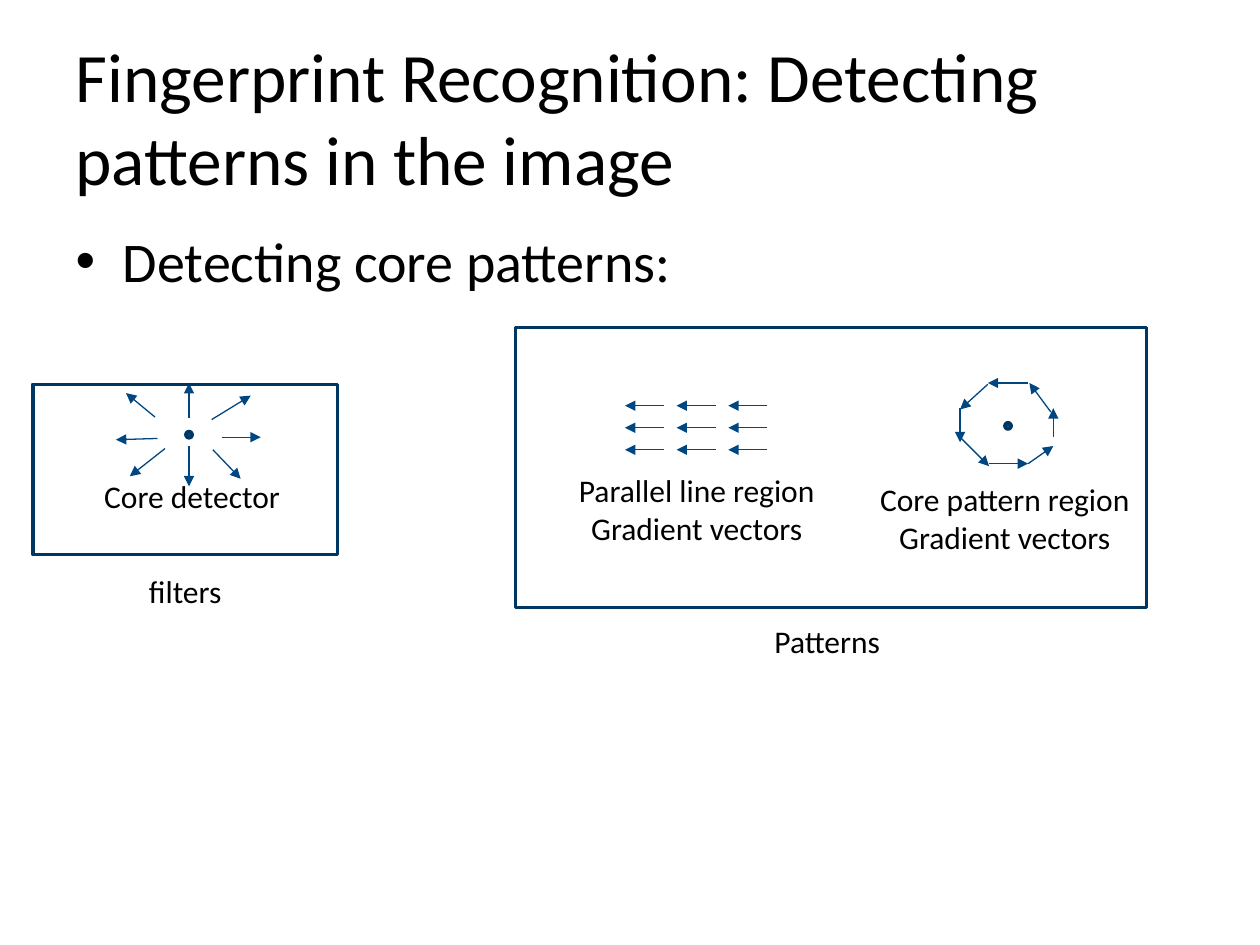
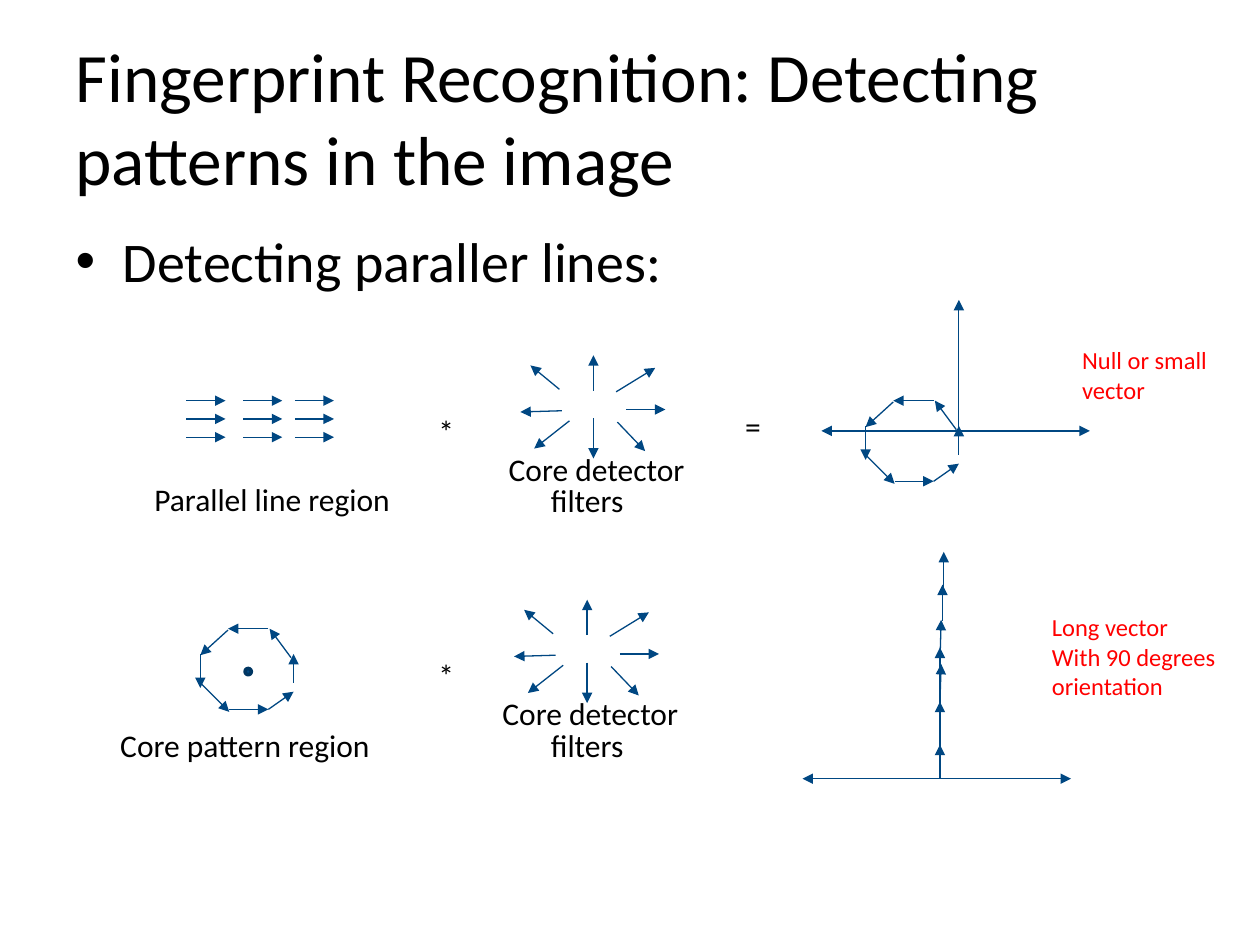
from lxml.etree import SubElement
from pptx import Presentation
from pptx.dml.color import RGBColor
from pptx.enum.shapes import MSO_CONNECTOR, MSO_SHAPE
from pptx.enum.text import MSO_ANCHOR, MSO_AUTO_SIZE, PP_ALIGN
from pptx.oxml.ns import qn
from pptx.util import Inches, Pt

COLORS = {"text": "000000", "arrow": "004782", "dot": "004985", "frame": "003662", "note": "FF0000"}
FONT = "Calibri"
TITLE = "Fingerprint Recognition: Detecting patterns in the image"
ARROW_LENGTH = 0.31

RADIAL = [
    (0.19, 0.12, 0.41, 0.35), (0, 0.09, 0, 0.41), (-0.19, 0.11, -0.47, 0.33),
    (0.26, 0.02, 0.57, 0.02), (-0.25, 0.03, -0.58, 0.04), (-0.27, -0.14, -0.5, -0.33),
    (0, -0.13, 0, -0.41), (0.18, -0.12, 0.49, -0.31),
]
LOOP = [
    (0.16, -0.34, -0.16, -0.34), (-0.15, 0.3, 0.16, 0.3), (0.16, 0.3, 0.36, 0.16),
    (0.36, 0.09, 0.36, -0.14), (-0.16, -0.33, -0.38, -0.13), (0.34, -0.11, 0.17, -0.34),
    (-0.38, -0.14, -0.38, 0.13), (-0.38, 0.09, -0.15, 0.32),
]
CHAIN = [
    (0, 0, 0, -0.27), (0, -0.29, 0, -0.61), (0, -0.61, 0.01, -0.91),
    (0, -0.92, 0.01, -1.26), (0.02, -1.25, 0.02, -1.54), (0.03, -1.52, 0.03, -1.8),
]


def rgb(name):
    """Return the named colour."""
    return RGBColor.from_string(COLORS[name])


def style(font, size, color="text"):
    """Apply the shared font with a size and colour."""
    for key, value in {"name": FONT, "size": Pt(size)}.items():
        setattr(font, key, value)
    font.color.rgb = rgb(color)


def add_text(s, lines, x, y, w, size=18, color="text", align=PP_ALIGN.CENTER):
    """Add an unwrapped text box with one paragraph per line."""
    height = 0.1 + len(lines) * size * 1.22 / 72
    tf = s.shapes.add_textbox(*map(Inches, (x, y, w, height))).text_frame
    tf.word_wrap = False
    for i, line in enumerate(lines):
        p = tf.paragraphs[0] if i == 0 else tf.add_paragraph()
        p.alignment = align
        r = p.add_run()
        r.text = line
        style(r.font, size, color)


def add_arrows(s, x, y, segments, ends=("tailEnd",)):
    """Draw arrows whose ends are offsets from the point x, y."""
    for x1, y1, x2, y2 in segments:
        points = map(Inches, (x + x1, y + y1, x + x2, y + y2))
        line = s.shapes.add_connector(MSO_CONNECTOR.STRAIGHT, *points)
        line.line.color.rgb = rgb("arrow")
        line.line.width = Pt(0.75)
        sp_pr = line._element.spPr
        for end in ends:
            SubElement(sp_pr.find(qn("a:ln")), qn(f"a:{end}"), type="triangle")
        SubElement(sp_pr, qn("a:effectLst"))


def add_outlined(s, kind, x, y, w, h, fill=None):
    """Add a shape with the frame outline and an optional fill."""
    sp = s.shapes.add_shape(kind, *map(Inches, (x, y, w, h)))
    sp.shadow.inherit = False
    sp.line.color.rgb = rgb("frame")
    sp.line.width = Pt(2)
    if fill:
        sp.fill.solid()
        sp.fill.fore_color.rgb = rgb(fill)
    else:
        sp.fill.background()


def add_dot(s, x, y):
    """Mark a core centred on x, y."""
    add_outlined(s, MSO_SHAPE.OVAL, x - 0.025, y - 0.025, 0.05, 0.05, "dot")


def add_detector(s, x, y):
    """Draw the labelled radial core detector around x, y."""
    add_arrows(s, x, y, RADIAL)
    add_text(s, ["Core detector"], x - 0.82, y + 0.29, 1.69)


def add_core_pattern(s, x, y, lines):
    """Draw the labelled loop of gradient vectors around its core."""
    add_arrows(s, x, y, LOOP)
    add_dot(s, x, y)
    add_text(s, lines, x - 1.16, y + 0.38, 2.27)


def add_parallel(s, x, y, columns, row_gap, leftward=False):
    """Draw three rows of parallel arrows at the given column offsets."""
    ends = (ARROW_LENGTH, 0) if leftward else (0, ARROW_LENGTH)
    rows = [row * row_gap for row in range(3)]
    add_arrows(s, x, y, [(c + ends[0], r, c + ends[1], r) for r in rows for c in columns])


def add_axes(s, x, y):
    """Draw the result axes with their origin at x, y."""
    add_arrows(s, x, y, [(0, 0, 0, -1.04)])
    add_arrows(s, x, y, [(-1.09, 0, 1.04, 0)], ("headEnd", "tailEnd"))


def add_slide(prs, bullet):
    """Add a slide with the shared title and one bullet."""
    s = prs.slides.add_slide(prs.slide_layouts[1])
    title, body = s.shapes.title, s.placeholders[1]
    parts = [(title, TITLE, 0.3, 1.25, 39.6, MSO_ANCHOR.MIDDLE),
             (body, bullet, 1.75, 4.95, 32, MSO_ANCHOR.TOP)]
    for sp, text, top, height, size, anchor in parts:
        box = {"left": 0.5, "top": top, "width": 9.15, "height": height}
        for key, value in box.items():
            setattr(sp, key, Inches(value))
        tf = sp.text_frame
        tf.text = text
        tf.auto_size = MSO_AUTO_SIZE.NONE
        tf.vertical_anchor = anchor
        p = tf.paragraphs[0]
        p.alignment = PP_ALIGN.LEFT
        style(p.runs[0].font, size)
    return s


def core_slide(prs):
    """Build the slide that shows the filter and the patterns."""
    s = add_slide(prs, "Detecting core patterns:")
    gradient = "Gradient vectors"
    add_parallel(s, 4.96, 3.22, (0, 0.41, 0.82), 0.175, leftward=True)
    add_text(s, ["Parallel line region", gradient], 4.49, 3.69, 2.08)
    add_core_pattern(s, 8, 3.38, ["Core pattern region", gradient])
    add_detector(s, 1.5, 3.45)
    add_dot(s, 1.5, 3.45)
    add_outlined(s, MSO_SHAPE.RECTANGLE, 4.09, 2.6, 5.01, 2.22)
    add_text(s, ["Patterns"], 6.04, 4.89, 1.05)
    add_outlined(s, MSO_SHAPE.RECTANGLE, 0.26, 3.05, 2.42, 1.35)
    add_text(s, ["filters"], 1.08, 4.49, 0.78)


def parallel_slide(prs):
    """Build the slide that applies the filter to both patterns."""
    s = add_slide(prs, "Detecting paraller lines:")
    add_parallel(s, 1.48, 3.18, (0, 0.45, 0.86), 0.145)
    add_text(s, ["Parallel line region"], 1.12, 3.76, 2.08)
    add_core_pattern(s, 1.97, 5.33, ["Core pattern region"])
    for x, y, star_top, filters_top in [(4.71, 3.23, 3.22, 3.77), (4.66, 5.17, 5.16, 5.71)]:
        add_text(s, ["*"], 3.38, star_top, 0.31)
        add_detector(s, x, y)
        add_text(s, ["filters"], 4.27, filters_top, 0.78)
    add_text(s, ["="], 5.8, 3.18, 0.35)
    add_axes(s, 7.61, 3.42)
    add_arrows(s, 7.25, 3.52, LOOP)
    add_axes(s, 7.46, 6.18)
    add_arrows(s, 7.46, 6.18, CHAIN)
    notes = [(["Null or small", "vector"], 8.49, 2.69, 1.23),
             (["Long vector", "With 90 degrees", "orientation"], 8.25, 4.81, 1.54)]
    for note in notes:
        add_text(s, *note, size=14, color="note", align=PP_ALIGN.LEFT)


def main():
    """Build and save both slides."""
    prs = Presentation()
    prs.slide_width, prs.slide_height = Inches(10), Inches(7.5)
    core_slide(prs)
    parallel_slide(prs)
    prs.save("out.pptx")


if __name__ == "__main__":
    main()
